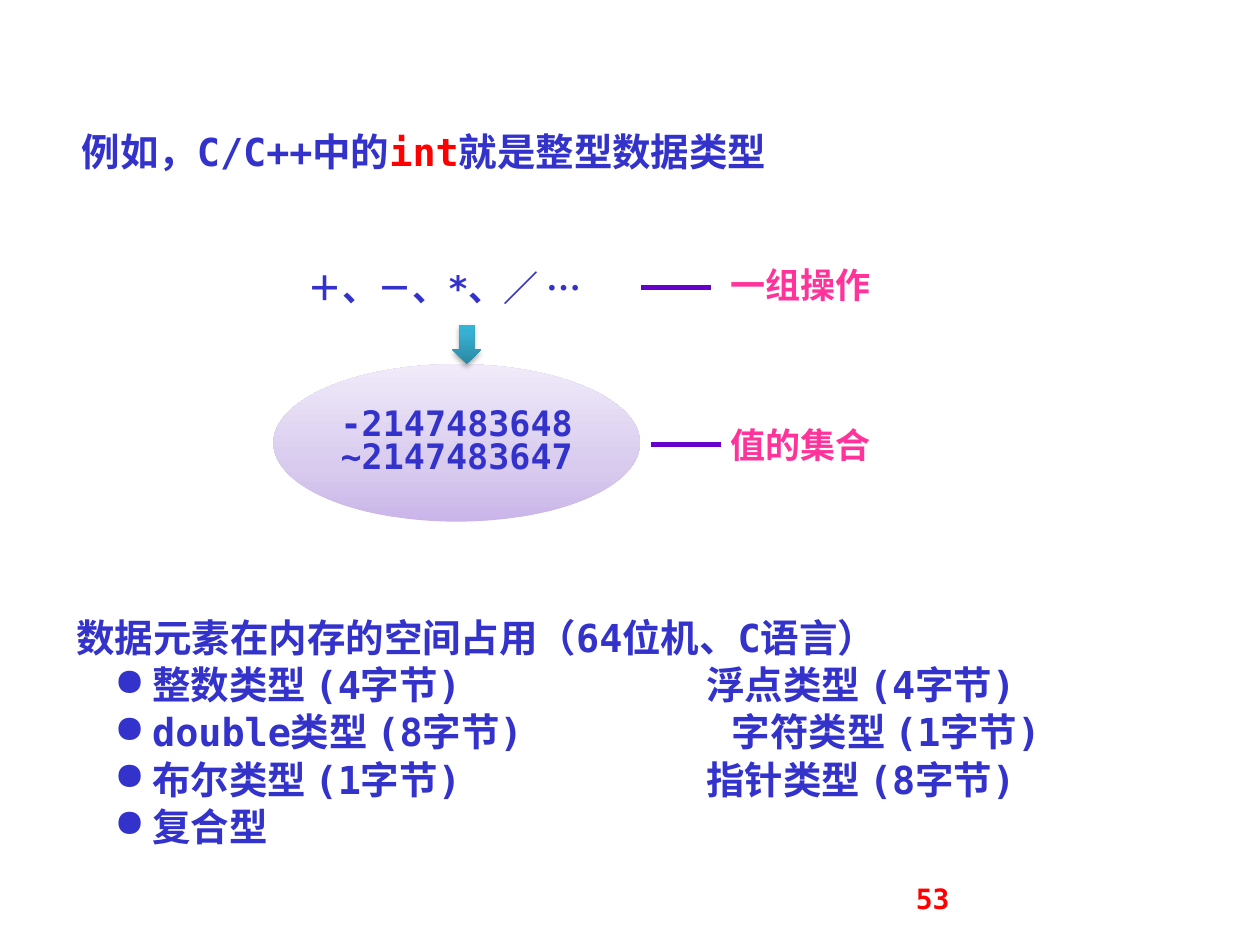
from typing import NamedTuple

from lxml import etree
from pptx import Presentation
from pptx.dml.color import RGBColor
from pptx.enum.shapes import MSO_CONNECTOR, MSO_SHAPE
from pptx.enum.text import MSO_ANCHOR, PP_ALIGN
from pptx.oxml import parse_xml
from pptx.oxml.ns import qn
from pptx.util import Inches, Pt

LINE = MSO_CONNECTOR.STRAIGHT
OVAL, ARROW = MSO_SHAPE.OVAL, MSO_SHAPE.DOWN_ARROW
MIDDLE, CENTER = MSO_ANCHOR.MIDDLE, PP_ALIGN.CENTER
FACE = "DejaVu Sans Mono"
SPACE = 'xmlns:a="http://schemas.openxmlformats.org/drawingml/2006/main"'
BLUE, RED, PINK, VIOLET = "3333CC", "FF0000", "FF3399", "6600CC"


class Box(NamedTuple):
    left: float
    top: float
    width: float
    height: float


class Label(NamedTuple):
    box: Box
    text: str
    color: str
    size: int = 20
    lead: float = 0.8


class Item(NamedTuple):
    text: str
    stop: float = 5.0


LABELS = [
    Label(Box(2.34, 2.13, 2.81, 0.37), "＋、－、*、／ …", BLUE),
    Label(Box(5.7, 2.11, 1.48, 0.37), "一组操作", PINK),
    Label(Box(5.7, 3.38, 1.56, 0.37), "值的集合", PINK),
    Label(Box(7.17, 6.95, 2.33, 0.4), "53", RED, 16, 1.0),
]
LINKS = [(5.09, 2.28), (5.17, 3.53)]
ITEMS = [
    Item("整数类型 (4字节)\t浮点类型 (4字节)"),
    Item("double类型 (8字节)\t字符类型 (1字节)", 5.2),
    Item("布尔类型 (1字节)\t指针类型 (8字节)"),
    Item("复合型"),
]


def paint(color: str) -> RGBColor:
    return RGBColor.from_string(color)


def inches(box: Box) -> list:
    return [Inches(side) for side in box]


def style(para, size: int, color: str, lead: float) -> None:
    para.line_spacing = lead
    para.space_before = Pt(0)
    font = para.font
    font.name, font.size, font.bold = FACE, Pt(size), True
    font.color.rgb = paint(color)


def add_box(slide, box: Box):
    frame = slide.shapes.add_textbox(*inches(box)).text_frame
    frame.word_wrap = True
    return frame


def add_label(slide, label: Label) -> None:
    para = add_box(slide, label.box).paragraphs[0]
    para.text = label.text
    style(para, label.size, label.color, label.lead)


def add_title(slide) -> None:
    para = add_box(slide, Box(0.55, 0.78, 9.06, 0.59)).paragraphs[0]
    style(para, 22, BLUE, 1.5)
    for text, color in [("例如，C/C++中的", BLUE), ("int", RED), ("就是整型数据类型", BLUE)]:
        run = para.add_run()
        run.text = text
        run.font.color.rgb = paint(color)


def add_shape(slide, kind, box: Box, stops: list[tuple[int, str]]):
    shape = slide.shapes.add_shape(kind, *inches(box))
    shape.shadow.inherit = False
    shape.line.fill.background()
    marks = "".join(
        f'<a:gs pos="{pos * 1000}"><a:srgbClr val="{color}"/></a:gs>'
        for pos, color in stops
    )
    fill = parse_xml(
        f'<a:gradFill {SPACE} rotWithShape="1"><a:gsLst>{marks}</a:gsLst>'
        '<a:lin ang="16200000" scaled="0"/></a:gradFill>'
    )
    shape.element.spPr.find(qn("a:prstGeom")).addnext(fill)
    return shape


def add_shade(shape) -> None:
    shade = parse_xml(
        f'<a:outerShdw {SPACE} blurRad="{Pt(3.1)}" dist="{Pt(1.8)}" dir="5400000" '
        'rotWithShape="0"><a:srgbClr val="000000"><a:alpha val="35000"/>'
        "</a:srgbClr></a:outerShdw>"
    )
    shape.element.spPr.find(qn("a:effectLst")).append(shade)


def add_link(slide, left: float, top: float) -> None:
    ends = [Inches(pos) for pos in (left, top, left + 0.55, top)]
    link = slide.shapes.add_connector(LINE, *ends)
    link.line.color.rgb = paint(VIOLET)
    link.line.width = Pt(3)
    etree.SubElement(link.element.spPr, qn("a:effectLst"))


def add_item(frame, item: Item) -> None:
    para = frame.add_paragraph()
    para.text = item.text
    para.level = 1
    props = para._p.get_or_add_pPr()
    props.set("marL", str(Inches(0.6)))
    props.set("indent", str(Inches(-0.3)))
    etree.SubElement(props, qn("a:buChar"), char="●")
    if "\t" in item.text:
        tabs = etree.SubElement(props, qn("a:tabLst"))
        etree.SubElement(tabs, qn("a:tab"), pos=str(Inches(item.stop)), algn="l")
    style(para, 22, BLUE, 0.8)
    para.space_before = Pt(5.8)


def add_list(slide) -> None:
    frame = add_box(slide, Box(0.51, 4.62, 9.16, 2.44))
    frame.vertical_anchor = MIDDLE
    head = frame.paragraphs[0]
    head.text = "数据元素在内存的空间占用（64位机、C语言）"
    style(head, 22, BLUE, 0.8)
    for item in ITEMS:
        add_item(frame, item)


def main() -> None:
    deck = Presentation()
    deck.slide_width, deck.slide_height = Inches(10), Inches(7.5)
    slide = deck.slides.add_slide(deck.slide_layouts[6])
    add_title(slide)
    oval = add_shape(slide, OVAL, Box(2.17, 2.89, 2.91, 1.25),
                     [(0, "C9B5E8"), (35, "D8CBEE"), (100, "F0EAF9")])
    oval.text_frame.vertical_anchor = MIDDLE
    para = oval.text_frame.paragraphs[0]
    para.text = "-2147483648 ~2147483647"
    para.alignment = CENTER
    style(para, 20, BLUE, 0.8)
    arrow = add_shape(slide, ARROW, Box(3.59, 2.58, 0.23, 0.31),
                      [(0, "2A88A2"), (80, "37B1D2"), (100, "34B4D6")])
    add_shade(arrow)
    for label in LABELS:
        add_label(slide, label)
    for left, top in LINKS:
        add_link(slide, left, top)
    add_list(slide)
    deck.save("out.pptx")


if __name__ == "__main__":
    main()
